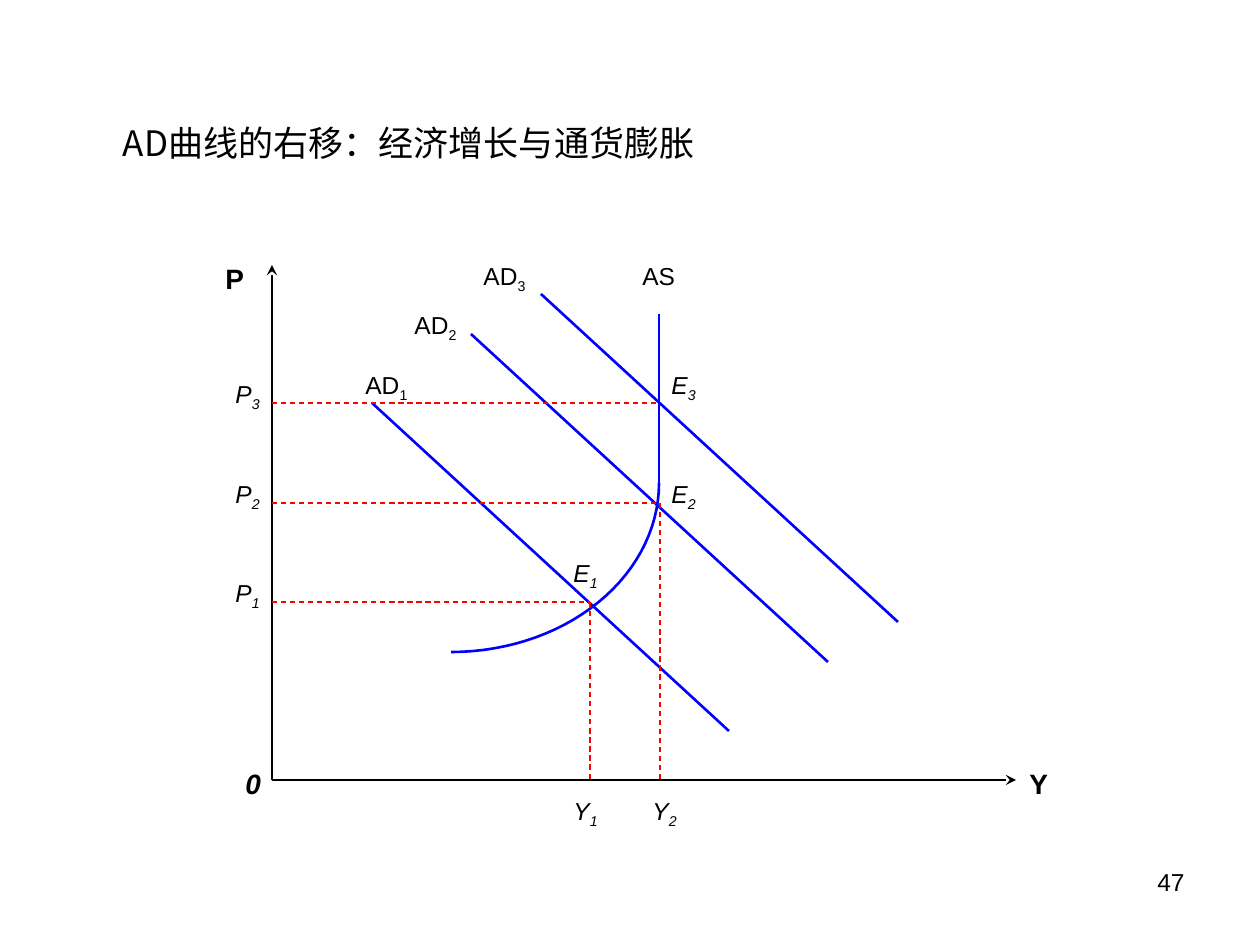
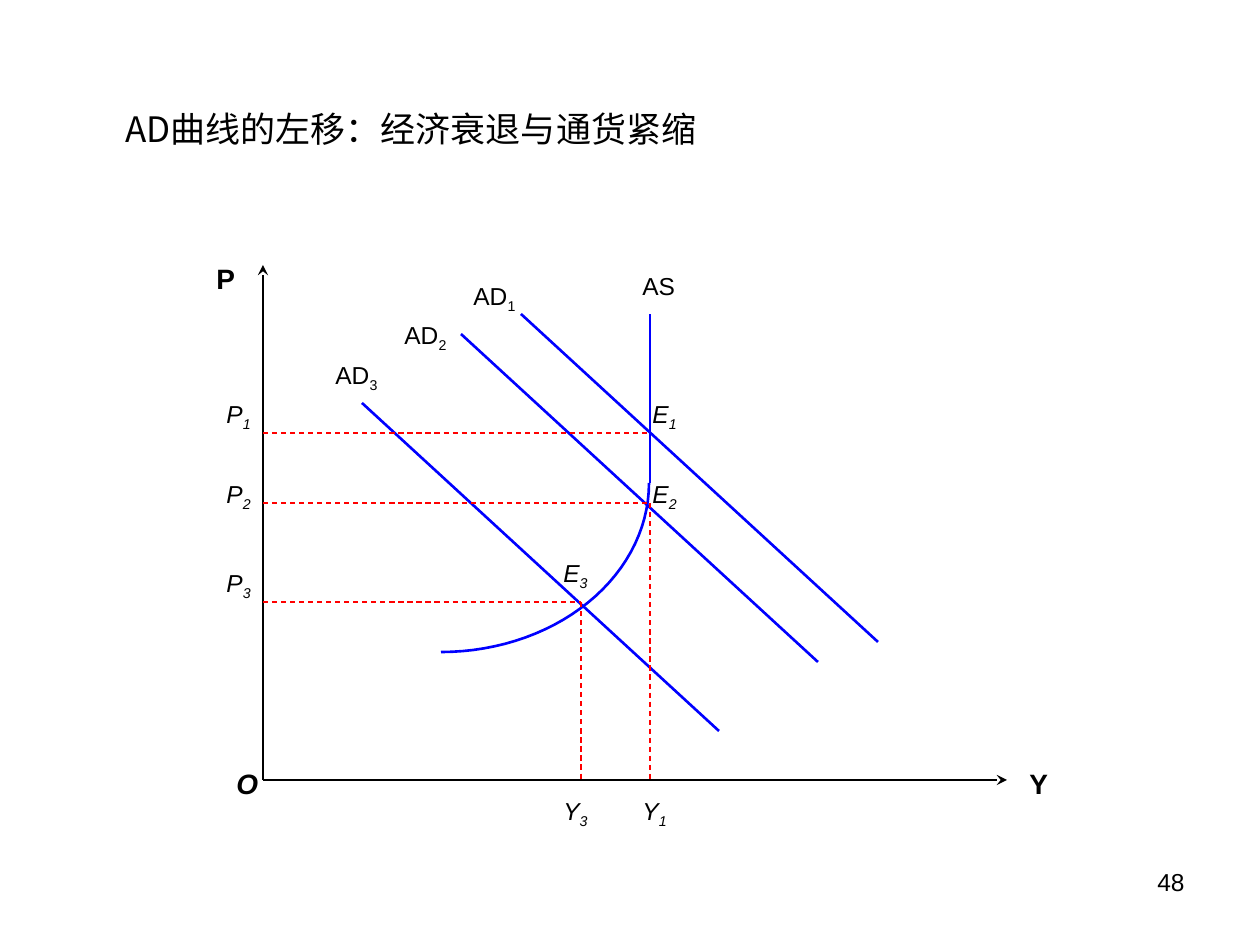
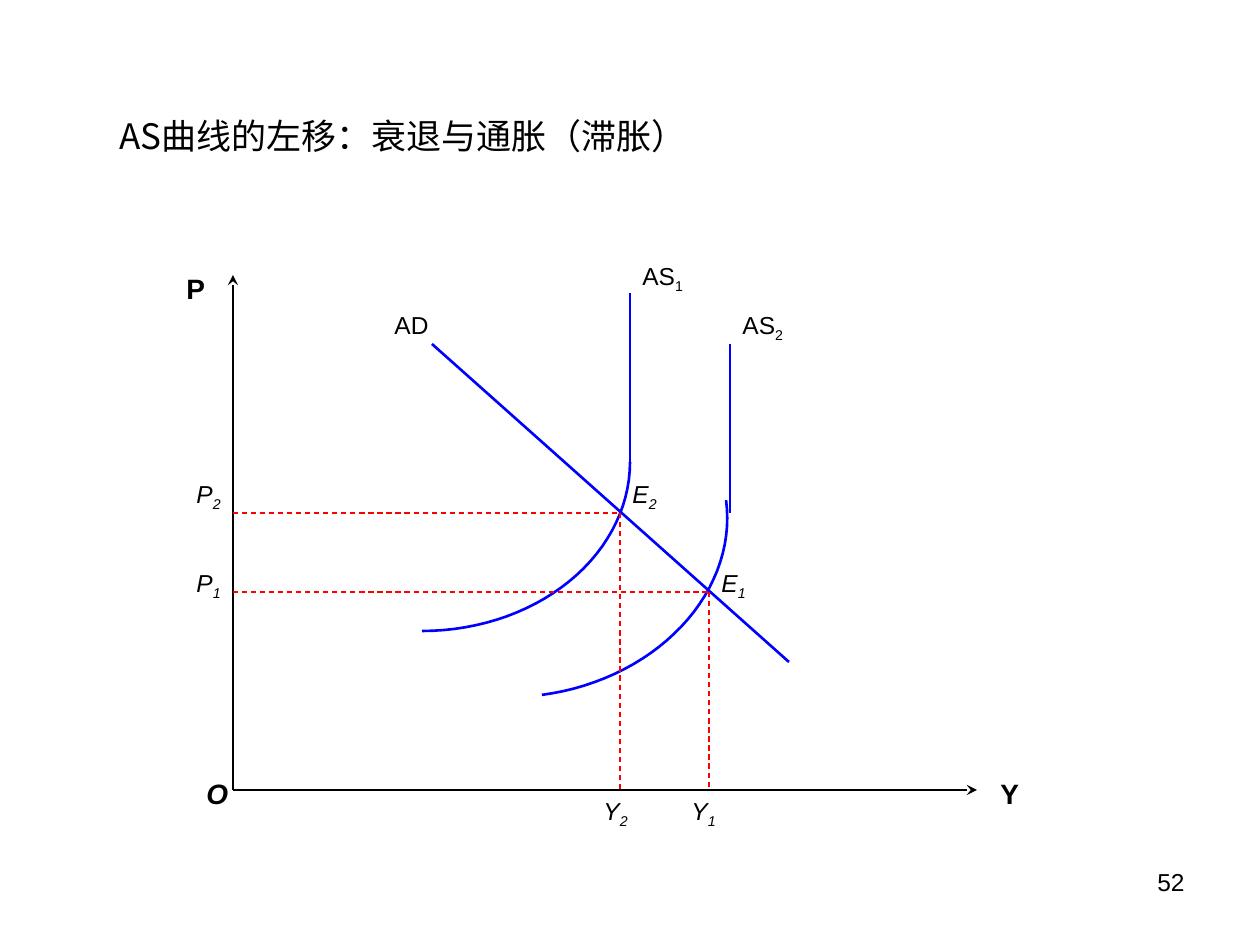
"""Build three slides of AD-AS diagrams showing how shifts move the equilibrium."""
import math
from lxml import etree
from pptx import Presentation
from pptx import util as u
from pptx.dml.color import RGBColor
from pptx.enum import dml, shapes, text
from pptx.oxml.ns import qn

PX = u.Inches(1) / 126
BLACK, BLUE, RED = "000000", "0000FF", "FF0000"
SANS, HAN = "Arial", "Noto Sans CJK SC"
AXIS = dict(color=BLACK, width=1)
CURVE = dict(color=BLUE, width=1.5)
GUIDE = dict(color=RED, width=0.75, dash=dml.MSO_LINE.DASH)
LABEL = dict(size=u.Pt(14), name=SANS, bold=False)
HEAD = dict(size=u.Pt(16), name=SANS, bold=True)
TITLE = dict(size=u.Pt(20), name=HAN, bold=False)
UP, ALONG = 515, 744
ARC_W, ARC_H, STEM = 208, 169, 169
RUN = 357
Y_TOP = 790

# points: number, x, y, P label top, E label place, Y label and left
# demand: label, label place and width, line start
# supply: label, label place, arc place, stem x, turn
SLIDES = [
    dict(
        title="AD曲线的右移：经济增长与通货膨胀", box=(64, 46, 1133, 150), pad=(59, 50),
        page="47", origin=(272, 780), zero="0", end=1017, fall=328,
        points=[
            (1, 590, 602, 572, (561, 552), ("Y_1", 561)),
            (2, 660, 503, 473, (659, 473), ("Y_2", 640)),
            (3, 659, 403, 373, (659, 364), None),
        ],
        demand=[
            ("AD_1", (353, 364, 159), (372, 403)),
            ("AD_2", (402, 304, 110), (471, 334)),
            ("AD_3", (471, 255, 110), (541, 294)),
        ],
        supply=[("AS", (630, 255), (451, 483), 659, 0)],
    ),
    dict(
        title="AD曲线的左移：经济衰退与通货紧缩", box=(63, 63, 1134, 132), pad=(62, 6),
        page="48", origin=(263, 780), zero="O", end=1017, fall=328,
        points=[
            (1, 650, 433, 393, (640, 393), None),
            (2, 650, 503, 473, (640, 473), ("Y_1", 630)),
            (3, 581, 602, 562, (551, 552), ("Y_3", 551)),
        ],
        demand=[
            ("AD_1", (461, 275, 159), (521, 314)),
            ("AD_2", (392, 314, 110), (461, 334)),
            ("AD_3", (323, 354, 110), (362, 403)),
        ],
        supply=[("AS", (630, 265), (441, 483), 650, 0)],
    ),
    dict(
        title="AS曲线的左移：衰退与通胀（滞胀）", box=(63, 76, 1134, 120), pad=(56, 6),
        page="52", origin=(233, 790), zero="O", end=988, fall=318,
        points=[
            (1, 709, 592, 562, (709, 562), ("Y_1", 679)),
            (2, 620, 513, 473, (620, 473), ("Y_2", 591)),
        ],
        demand=[("AD", (382, 304, 110), (432, 344))],
        supply=[
            ("AS_1", (630, 255), (422, 462), 630, 0),
            ("AS_2", (730, 304), (530, 513), 730, -7.5),
        ],
    ),
]


def px(n):
    return u.Emu(round(n * PX))


def rgb(code):
    return RGBColor.from_string(code)


def style(run, form, **more):
    for key, val in {**form, **more}.items():
        setattr(run.font, key, val)
    run.font.color.rgb = rgb(BLACK)
    if form["name"] == HAN:
        etree.SubElement(run.font._element, qn("a:ea")).set("typeface", HAN)


def ink(line, color, width, dash=None):
    line.color.rgb = rgb(color)
    line.width = u.Pt(width)
    if dash:
        line.dash_style = dash


def label(slide, name, box, form=LABEL, italic=False):
    """Write a name, with what follows its underscore as a subscript."""
    shape = slide.shapes.add_textbox(*map(px, box))
    frame = shape.text_frame
    frame.word_wrap = True
    frame.auto_size = text.MSO_AUTO_SIZE.SHAPE_TO_FIT_TEXT
    para = frame.paragraphs[0]
    for i, part in enumerate(name.split("_")):
        run = para.add_run()
        run.text = part
        style(run, form, italic=italic)
        if i:
            run.font._element.set("baseline", "-25000")
    return shape


def link(slide, start, end, form, arrow=False):
    line = slide.shapes.add_connector(
        shapes.MSO_CONNECTOR.STRAIGHT, *map(px, (*start, *end)))
    ink(line.line, **form)
    props = line._element.spPr
    if arrow:
        etree.SubElement(props.find(qn("a:ln")), qn("a:tailEnd")).set("type", "stealth")
    etree.SubElement(props, qn("a:effectLst"))


def arc(slide, place, turn):
    """Draw the lower right quarter of an ellipse centred on place."""
    left, top = place
    dots = [(px(left + ARC_W * math.cos(a)), px(top + ARC_H * math.sin(a)))
            for a in (math.radians(3 * i) for i in range(31))]
    pen = slide.shapes.build_freeform(*dots[0], scale=1.0)
    pen.add_line_segments(dots[1:], close=False)
    shape = pen.convert_to_shape()
    shape.shadow.inherit = False
    shape.fill.background()
    ink(shape.line, **CURVE)
    shape.rotation = turn


def frame(slide, data):
    """Place the title, page number and axes."""
    title = slide.shapes.title
    for key, val in zip(("left", "top", "width", "height"), data["box"]):
        setattr(title, key, px(val))
    body = title.text_frame
    body.margin_left, body.margin_top = map(px, data["pad"])
    body.vertical_anchor = text.MSO_ANCHOR.MIDDLE
    para = body.paragraphs[0]
    para.alignment = text.PP_ALIGN.LEFT
    run = para.add_run()
    run.text = data["title"]
    style(run, TITLE)
    page = label(slide, data["page"], (903, 861, 294, 66)).text_frame
    page.auto_size = text.MSO_AUTO_SIZE.NONE
    page.paragraphs[0].alignment = text.PP_ALIGN.RIGHT

    x, y = data["origin"]
    link(slide, (x, y), (x, y - UP), AXIS, arrow=True)
    link(slide, (x, y), (x + ALONG, y), AXIS, arrow=True)
    for name, left, top in ((data["zero"], x - 39, y - 20),
                            ("Y", data["end"], y - 20), ("P", x - 59, y - 525)):
        label(slide, name, (left, top, 49, 47), HEAD, name in "0O")


def plot(slide, data):
    """Draw the curves, then the guides and labels of each equilibrium."""
    for name, spot, place, stem, turn in data["supply"]:
        arc(slide, place, turn)
        link(slide, (stem, place[1]), (stem, place[1] - STEM), CURVE)
        label(slide, name, (*spot, 159, 43))
    for name, spot, (x, y) in data["demand"]:
        link(slide, (x, y), (x + RUN, y + data["fall"]), CURVE)
        label(slide, name, (*spot, 43))
    left, base = data["origin"]
    for num, x, y, top, spot, drop in data["points"]:
        link(slide, (left, y), (x, y), GUIDE)
        label(slide, f"P_{num}", (left - 49, top, 69, 43), italic=True)
        label(slide, f"E_{num}", (*spot, 79, 43), italic=True)
        if drop:
            link(slide, (x, y), (x, base), GUIDE)
            label(slide, drop[0], (drop[1], Y_TOP, 69, 43), italic=True)


def main():
    deck = Presentation()
    deck.slide_width, deck.slide_height = px(1260), px(945)
    for data in SLIDES:
        slide = deck.slides.add_slide(deck.slide_layouts[5])
        frame(slide, data)
        plot(slide, data)
    deck.save("out.pptx")


if __name__ == "__main__":
    main()
